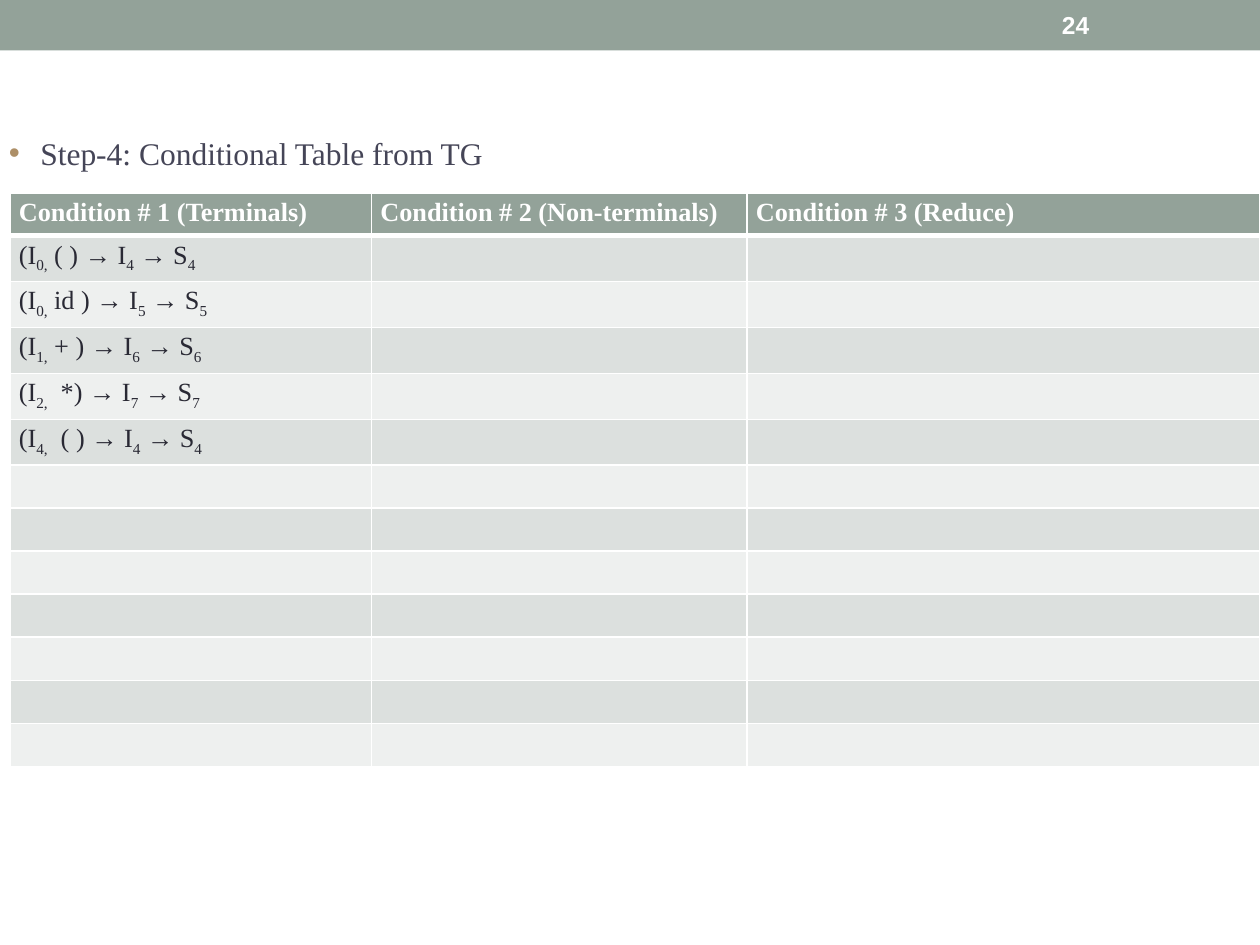
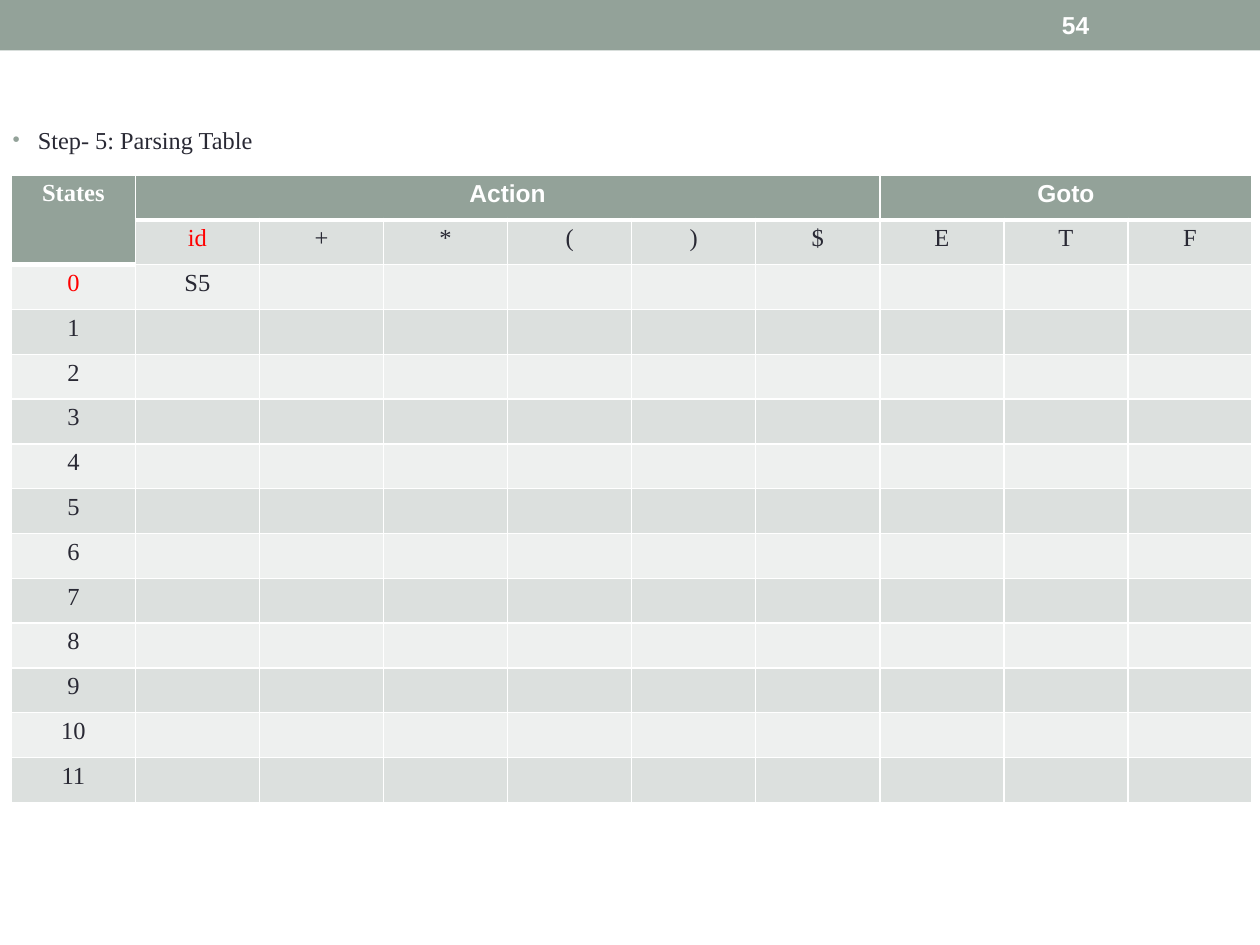
from dataclasses import dataclass

import lxml.etree
import pptx
import pptx.dml.color
import pptx.enum.shapes
import pptx.enum.text
import pptx.oxml.ns
import pptx.util
from pptx.util import Inches

COLOURS = {
    "sage": "93A299",
    "gold": "AD8F67",
    "slate": "454557",
    "ink": "292934",
    "red": "FF0000",
    "white": "FFFFFF",
    "dark_row": "DCE0DE",
    "light_row": "EEF0EF",
}
SERIF, SANS = "Times New Roman", "Arial"
ALIGN = pptx.enum.text.PP_ALIGN
ANCHOR = pptx.enum.text.MSO_ANCHOR


@dataclass(frozen=True)
class Heading:
    text: str
    top: float
    width: float
    height: float
    size: float
    colour: str
    bullet_colour: str
    bullet_percent: int
    indent: float
    inset_x: float
    inset_y: float


@dataclass(frozen=True)
class Grid:
    left: float
    top: float
    height: float
    widths: list[float]
    rows: int
    size: float
    align: ALIGN


@dataclass(frozen=True)
class Transition:
    state: int
    symbol: str
    target: int

    def pieces(self) -> list[str]:
        """Alternate normal and subscript pieces."""
        target = str(self.target)
        return ["(I", f"{self.state},", f" {self.symbol}) → I", target, " → S", target]


def rgb(name: str) -> pptx.dml.color.RGBColor:
    return pptx.dml.color.RGBColor.from_string(COLOURS[name])


def add_xml(parent, tag: str, **attributes: str):
    return lxml.etree.SubElement(parent, pptx.oxml.ns.qn(tag), attributes)


def style_span(span, size: float, colour: str, font: str = SERIF, bold: bool = False) -> None:
    span.font.size = pptx.util.Pt(size)
    span.font.name = font
    span.font.bold = bold
    span.font.color.rgb = rgb(colour)


# Shared page furniture
def add_page(deck, heading: Heading, number: str):
    page = deck.slides.add_slide(deck.slide_layouts[5])
    band = page.shapes.add_shape(
        pptx.enum.shapes.MSO_SHAPE.RECTANGLE, 0, 0, deck.slide_width, Inches(0.4))
    band.shadow.inherit = False
    band.fill.solid()
    band.fill.fore_color.rgb = rgb("sage")
    band.line.fill.background()

    box = page.shapes.add_textbox(Inches(8.33), Inches(0.02), Inches(1.17), Inches(0.36))
    box.text_frame.word_wrap = True
    box.text_frame.vertical_anchor = ANCHOR.MIDDLE
    box.text_frame.text = number
    style_span(box.text_frame.paragraphs[0].runs[0], 14, "white", SANS, True)

    format_heading(page.shapes.title, heading)
    return page


def format_heading(title, heading: Heading) -> None:
    title.left, title.top = Inches(0), Inches(heading.top)
    title.width, title.height = Inches(heading.width), Inches(heading.height)
    frame = title.text_frame
    frame.text = heading.text
    frame.word_wrap = True
    frame.auto_size = pptx.enum.text.MSO_AUTO_SIZE.NONE
    frame.vertical_anchor = ANCHOR.TOP
    frame.margin_left = frame.margin_right = Inches(heading.inset_x)
    frame.margin_top = frame.margin_bottom = Inches(heading.inset_y)

    para = frame.paragraphs[0]
    para.alignment = ALIGN.LEFT
    para.space_before = pptx.util.Pt(0)
    properties = para._p.get_or_add_pPr()
    properties.set("marL", str(Inches(heading.indent)))
    properties.set("indent", str(-Inches(heading.indent)))
    bullet_fill = add_xml(properties, "a:buClr")
    add_xml(bullet_fill, "a:srgbClr", val=COLOURS[heading.bullet_colour])
    add_xml(properties, "a:buSzPct", val=str(heading.bullet_percent * 1000))
    add_xml(properties, "a:buFont", typeface=SANS)
    add_xml(properties, "a:buChar", char="•")
    style_span(para.runs[0], heading.size, heading.colour)


# Tables
def set_borders(cell, bottom: float = 1) -> None:
    properties = cell._tc.get_or_add_tcPr()
    widths = {"a:lnL": 1, "a:lnR": 1, "a:lnT": 1, "a:lnB": bottom}
    for position, (tag, width) in enumerate(widths.items()):
        line = add_xml(properties, tag, w=str(pptx.util.Pt(width)))
        add_xml(add_xml(line, "a:solidFill"), "a:srgbClr", val=COLOURS["white"])
        properties.remove(line)
        properties.insert(position, line)


def add_grid(page, grid: Grid):
    frame = page.shapes.add_table(
        grid.rows, len(grid.widths), Inches(grid.left), Inches(grid.top),
        Inches(sum(grid.widths)), Inches(grid.height))
    table = frame.table
    for column, width in zip(table.columns, grid.widths):
        column.width = Inches(width)
    for index, row in enumerate(table.rows):
        row.height = Inches(grid.height / grid.rows)
        fill = "sage" if index == 0 else ("light_row", "dark_row")[index % 2]
        for cell in row.cells:
            cell.margin_left = cell.margin_right = Inches(0.07)
            cell.margin_top = cell.margin_bottom = Inches(0.04)
            cell.fill.solid()
            cell.fill.fore_color.rgb = rgb(fill)
            set_borders(cell, 3 if index == 0 else 1)
            # Keep empty rows from growing to the default text size
            add_xml(cell.text_frame.paragraphs[0]._p, "a:endParaRPr",
                    sz=str(round(grid.size * 100)))
    return table


def write_cell(table, grid: Grid, row: int, column: int, pieces: list[str],
               colour: str = "ink", font: str = SERIF) -> None:
    para = table.cell(row, column).text_frame.paragraphs[0]
    para.alignment = grid.align
    for index, piece in enumerate(pieces):
        span = para.add_run()
        span.text = piece
        style_span(span, grid.size, "white" if row == 0 else colour, font, row == 0)
        if index % 2:
            span.font._element.set("baseline", "-25000")


# Step 4: conditions read from the transition graph
def build_conditions(deck) -> None:
    heading = Heading("Step-4: Conditional Table from TG", 1.02, 4.31, 0.35, 18,
                      "slate", "gold", 100, 0.25, 0.07, 0.04)
    page = add_page(deck, heading, "24")
    grid = Grid(0.08, 1.53, 4.44, [2.87, 2.98, 4.07], 13, 15, ALIGN.LEFT)
    table = add_grid(page, grid)
    for column, kind in enumerate(["Terminals", "Non-terminals", "Reduce"]):
        write_cell(table, grid, 0, column, [f"Condition # {column + 1} ({kind})"])
    transitions = [
        Transition(0, "( ", 4),
        Transition(0, "id ", 5),
        Transition(1, "+ ", 6),
        Transition(2, " *", 7),
        Transition(4, " ( ", 4),
    ]
    for row, transition in enumerate(transitions, start=1):
        write_cell(table, grid, row, 0, transition.pieces())


# Step 5: parsing table
def build_parsing_table(deck) -> None:
    heading = Heading("Step- 5: Parsing Table", 0.94, 2.22, 0.42, 13.9,
                      "ink", "sage", 85, 0.2, 0.1, 0.05)
    page = add_page(deck, heading, "54")
    actions, gotos = ["id", "+", "*", "(", ")", "$"], ["E", "T", "F"]
    symbols = actions + gotos
    states = 12
    columns = 1 + len(symbols)
    grid = Grid(0.09, 1.39, 4.98, [9.85 / columns] * columns, 2 + states, 14, ALIGN.CENTER)
    table = add_grid(page, grid)

    goto_column = 1 + len(actions)
    table.cell(0, 0).merge(table.cell(1, 0))
    table.cell(0, 1).merge(table.cell(0, goto_column - 1))
    table.cell(0, goto_column).merge(table.cell(0, len(symbols)))
    write_cell(table, grid, 0, 0, ["States"])
    write_cell(table, grid, 0, 1, ["Action"], font=SANS)
    write_cell(table, grid, 0, goto_column, ["Goto"], font=SANS)

    for column, symbol in enumerate(symbols, start=1):
        write_cell(table, grid, 1, column, [symbol], "red" if symbol == "id" else "ink")
    for state in range(states):
        write_cell(table, grid, state + 2, 0, [str(state)], "red" if state == 0 else "ink")
    write_cell(table, grid, 2, 1, ["S5"])


def main() -> None:
    deck = pptx.Presentation()
    deck.slide_width, deck.slide_height = Inches(10), Inches(7.5)
    build_conditions(deck)
    build_parsing_table(deck)
    deck.save("out.pptx")


if __name__ == "__main__":
    main()
